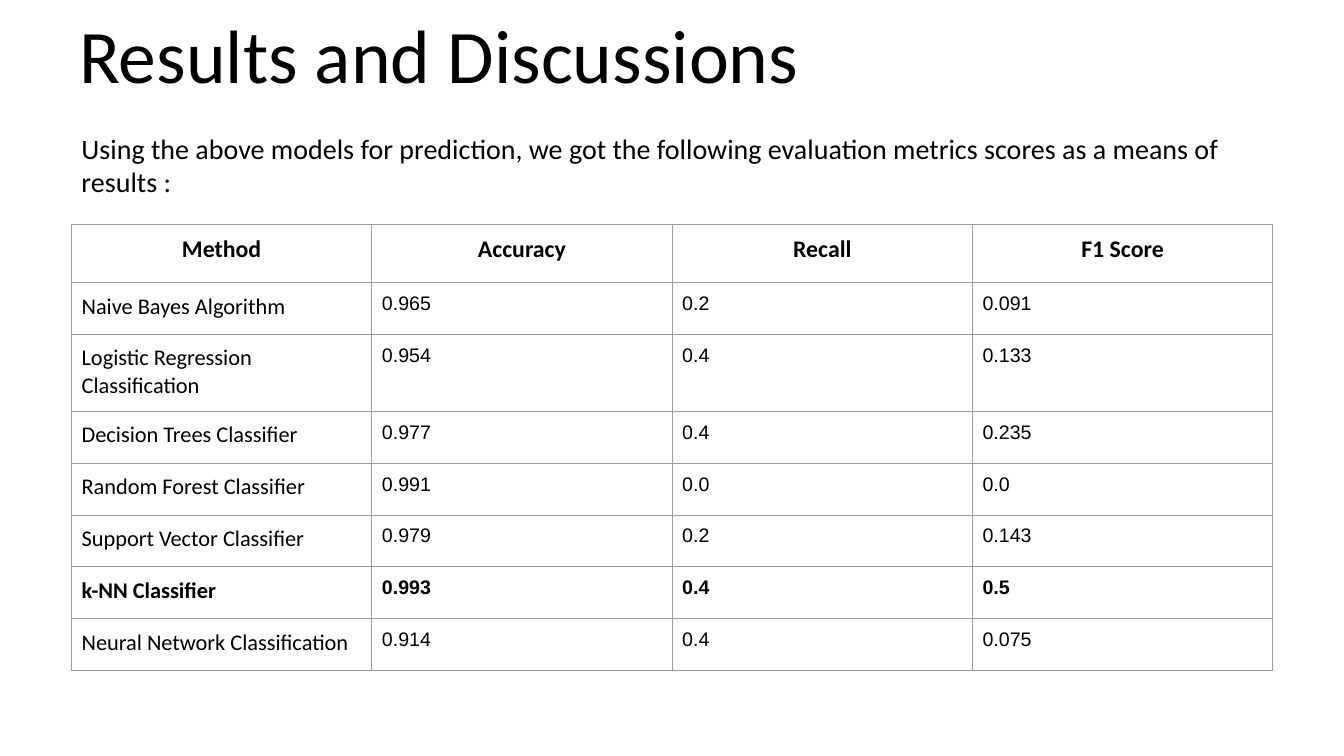
"""Build the Results and Discussions slide with its table of evaluation scores."""
from dataclasses import dataclass

from lxml import etree
from pptx import Presentation
from pptx.dml.color import RGBColor
from pptx.enum.text import MSO_ANCHOR, PP_ALIGN
from pptx.oxml.ns import qn
from pptx.util import Pt

LEFT, CENTER = PP_ALIGN.LEFT, PP_ALIGN.CENTER
TOP, BOTTOM = MSO_ANCHOR.TOP, MSO_ANCHOR.BOTTOM

TITLE = "Results and Discussions"
INTRO = ("Using the above models for prediction, we got the following "
         "evaluation metrics scores as a means of results :")
HEADER = ("Method", "Accuracy", "Recall", "F1 Score")
SCORES = [
    ("Naive Bayes Algorithm", "0.965", "0.2", "0.091"),
    ("Logistic Regression Classification", "0.954", "0.4", "0.133"),
    ("Decision Trees Classifier", "0.977", "0.4", "0.235"),
    ("Random Forest Classifier", "0.991", "0.0", "0.0"),
    ("Support Vector Classifier", "0.979", "0.2", "0.143"),
    ("k-NN Classifier", "0.993", "0.4", "0.5"),
    ("Neural Network Classification", "0.914", "0.4", "0.075"),
]
BEST_METHOD = "k-NN Classifier"
TWO_LINE_METHOD = "Logistic Regression Classification"


@dataclass(frozen=True)
class Theme:
    text: str = "000000"
    border: str = "9E9E9E"
    border_width: float = 0.75
    font: str = "Calibri"
    score_font: str = "Arial"
    title_size: int = 54
    intro_size: int = 20
    header_size: int = 17
    method_size: int = 16
    score_size: int = 14


THEME = Theme()
SLIDE_SIZE = (960, 540)
TITLE_BOX = (-13.7, 22.3, 654.5, 52.6)
INTRO_BOX = (51.1, 86.4, 841.7, 63.4)
TABLE_LEFT, TABLE_TOP = 51.1, 160.5
COLUMN_WIDTH = 214.5
HEADER_HEIGHT, ROW_HEIGHT, TWO_LINE_HEIGHT = 41.4, 37, 55
INSET = 7.2


def format_paragraph(paragraph, size, font=THEME.font, bold=False, align=LEFT):
    paragraph.alignment = align
    for run in paragraph.runs:
        run.font.size = Pt(size)
        run.font.name = font
        run.font.bold = bold
        run.font.color.rgb = RGBColor.from_string(THEME.text)


def add_text(slide, box, text, size, inset, anchor=TOP, align=LEFT):
    shape = slide.shapes.add_textbox(*map(Pt, box))
    text_frame = shape.text_frame
    text_frame.word_wrap = True
    text_frame.vertical_anchor = anchor
    text_frame.margin_top = text_frame.margin_bottom = Pt(inset)
    text_frame.text = text
    paragraph = text_frame.paragraphs[0]
    format_paragraph(paragraph, size, align=align)
    return paragraph


def add_borders(cell):
    properties = cell._tc.get_or_add_tcPr()
    for side in ("lnL", "lnR", "lnT", "lnB"):
        line = etree.SubElement(properties, qn(f"a:{side}"), w=str(Pt(THEME.border_width)))
        fill = etree.SubElement(line, qn("a:solidFill"))
        etree.SubElement(fill, qn("a:srgbClr"), val=THEME.border)


def cell_style(row_index, column_index, method):
    if row_index == 0:
        return {"size": THEME.header_size, "bold": True, "align": CENTER}
    bold = method == BEST_METHOD
    if column_index == 0:
        return {"size": THEME.method_size, "bold": bold}
    return {"size": THEME.score_size, "font": THEME.score_font, "bold": bold}


def row_height(method):
    if method == HEADER[0]:
        return HEADER_HEIGHT
    return TWO_LINE_HEIGHT if method == TWO_LINE_METHOD else ROW_HEIGHT


def add_score_table(slide):
    rows = [HEADER, *SCORES]
    heights = [row_height(row[0]) for row in rows]
    table = slide.shapes.add_table(
        len(rows), len(HEADER), Pt(TABLE_LEFT), Pt(TABLE_TOP),
        Pt(COLUMN_WIDTH * len(HEADER)), Pt(sum(heights))).table
    table.horz_banding = False
    for column in table.columns:
        column.width = Pt(COLUMN_WIDTH)
    for row_index, (values, height) in enumerate(zip(rows, heights)):
        table.rows[row_index].height = Pt(height)
        for column_index, value in enumerate(values):
            cell = table.cell(row_index, column_index)
            cell.margin_left = cell.margin_right = Pt(INSET)
            cell.margin_top = cell.margin_bottom = Pt(INSET)
            add_borders(cell)
            cell.fill.background()
            cell.text_frame.text = value
            format_paragraph(cell.text_frame.paragraphs[0],
                             **cell_style(row_index, column_index, values[0]))


def main():
    presentation = Presentation()
    presentation.slide_width, presentation.slide_height = map(Pt, SLIDE_SIZE)
    slide = presentation.slides.add_slide(presentation.slide_layouts[6])
    title = add_text(slide, TITLE_BOX, TITLE, THEME.title_size, INSET / 2, BOTTOM, CENTER)
    title.line_spacing = 0.9
    add_score_table(slide)
    add_text(slide, INTRO_BOX, INTRO, THEME.intro_size, INSET)
    presentation.save("out.pptx")


if __name__ == "__main__":
    main()
